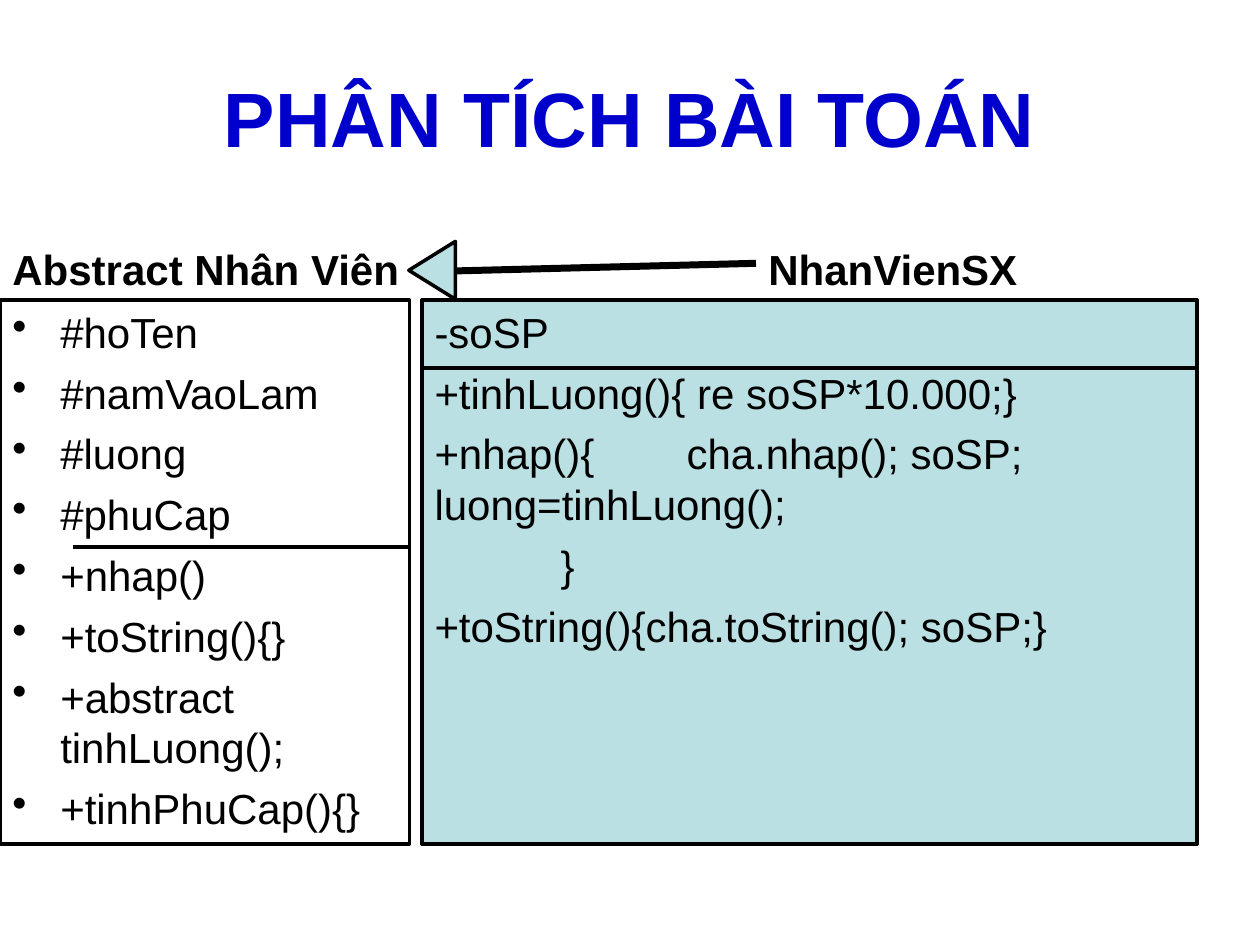
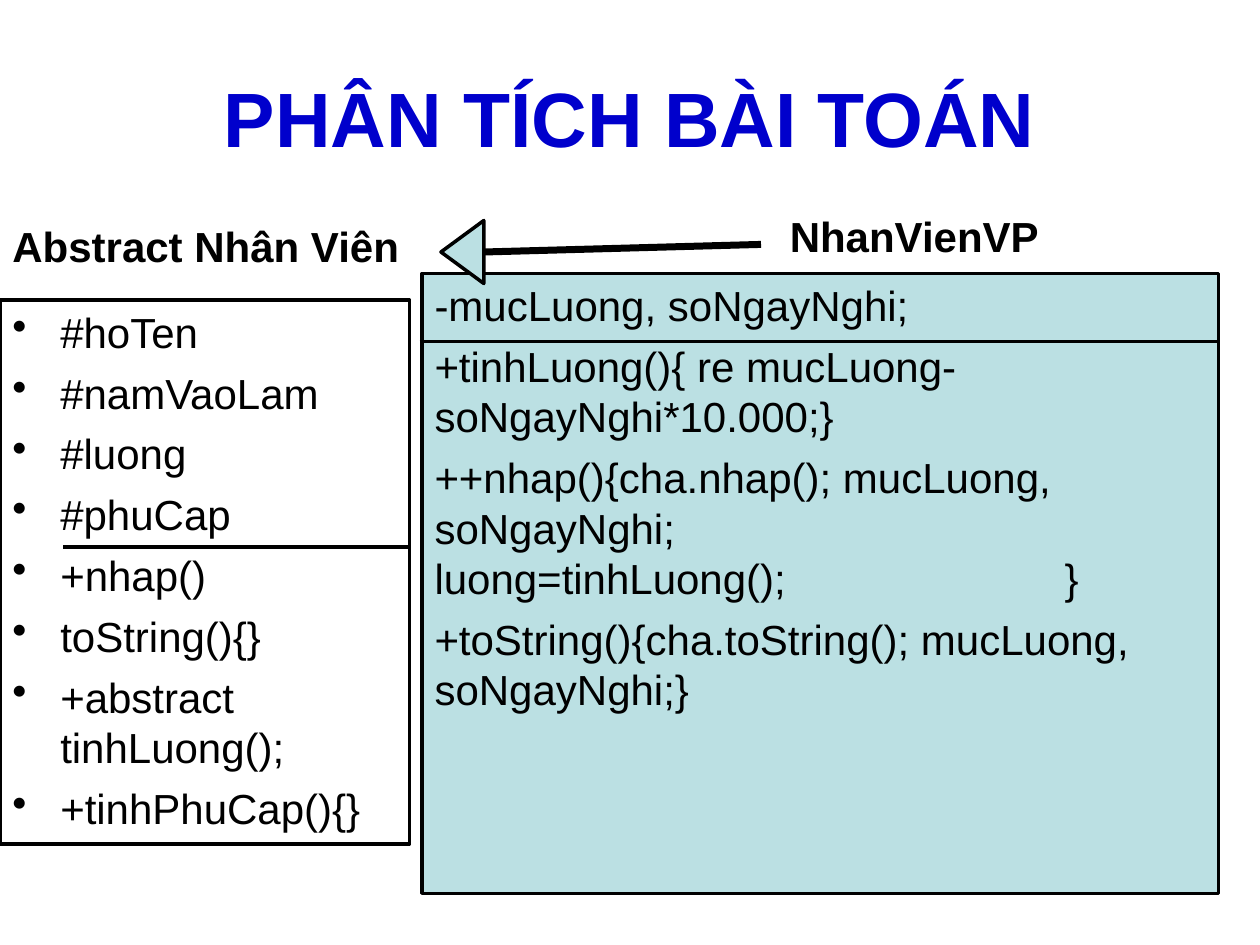
from dataclasses import dataclass

from lxml import etree
from pptx import Presentation
from pptx.dml.color import RGBColor
from pptx.enum.shapes import MSO_CONNECTOR, MSO_SHAPE
from pptx.enum.text import MSO_ANCHOR, PP_ALIGN
from pptx.oxml.ns import qn
from pptx.util import Inches, Pt

LINE = MSO_CONNECTOR.STRAIGHT
RECTANGLE, TRIANGLE = MSO_SHAPE.RECTANGLE, MSO_SHAPE.ISOSCELES_TRIANGLE
LEFT, CENTER = PP_ALIGN.LEFT, PP_ALIGN.CENTER
TOP, MIDDLE, BOTTOM = MSO_ANCHOR.TOP, MSO_ANCHOR.MIDDLE, MSO_ANCHOR.BOTTOM


@dataclass(frozen=True)
class Theme:
    font: str = "Arial"
    title_color: RGBColor = RGBColor(0x00, 0x00, 0xCC)
    ink: RGBColor = RGBColor(0x00, 0x00, 0x00)
    panel: RGBColor = RGBColor(0xBB, 0xE0, 0xE3)
    title_size: int = 44
    text_size: int = 24
    space_before: int = 6
    outline: int = 2
    arrow: int = 4
    bullet_indent: float = 0.38


THEME = Theme()

# Content: boxes are (left, top, width, height) in inches
TITLE = "PHÂN TÍCH BÀI TOÁN"
TITLE_BOX = (0.5, 0.3, 9, 1.25)
PARENT_NAME = "Abstract Nhân Viên"
PARENT_BOX = (0, 2.38, 3.25, 4.32)
PARENT_DIVIDER_Y = 4.34
CHILD_DIVIDER_LEFT = 3.33
CHILD_DIVIDER_DROP = 0.54


def parent_members(to_string):
    return ["#hoTen", "#namVaoLam", "#luong", "#phuCap", "+nhap()", to_string,
            "+abstract tinhLuong();", "+tinhPhuCap(){}"]


DIAGRAMS = [
    {
        "parent_members": parent_members("+toString(){}"),
        "parent_name_box": (0, 1.68, 4.92, 0.7),
        "parent_divider_left": 0.58,
        "child_name": "NhanVienSX",
        "child_name_box": (6, 1.68, 3.5, 0.7),
        "child_box": (3.35, 2.38, 6.15, 4.32),
        "child_members": [
            "-soSP",
            "+tinhLuong(){ re soSP*10.000;}",
            "+nhap(){\tcha.nhap(); soSP; luong=tinhLuong();",
            "\t}",
            "+toString(){cha.toString(); soSP;}",
        ],
        "arrowhead_box": (3.2, 1.96, 0.46, 0.37),
        "arrow_ends": ((3.62, 2.15), (6, 2.09)),
    },
    {
        "parent_members": parent_members("toString(){}"),
        "parent_name_box": (0, 1.5, 3.5, 0.7),
        "parent_divider_left": 0.5,
        "child_name": "NhanVienVP",
        "child_name_box": (6.17, 1.42, 3.34, 0.7),
        "child_box": (3.35, 2.17, 6.32, 4.92),
        "child_members": [
            "-mucLuong, soNgayNghi;",
            "+tinhLuong(){ re mucLuong- soNgayNghi*10.000;}",
            "++nhap(){cha.nhap(); mucLuong, soNgayNghi;\nluong=tinhLuong();\t\t\t}",
            "+toString(){cha.toString(); mucLuong, soNgayNghi;}",
        ],
        "arrowhead_box": (3.42, 1.83, 0.5, 0.34),
        "arrow_ends": ((3.84, 2), (6.04, 1.94)),
    },
]


def inches(values):
    return [Inches(value) for value in values]


# Text
def add_text(paragraph, text, size, color, bold=False):
    for number, line in enumerate(text.split("\n")):
        if number:
            paragraph.add_line_break()
        run = paragraph.add_run()
        run.text = line
        run.font.name = THEME.font
        run.font.size = Pt(size)
        run.font.bold = bold
        run.font.color.rgb = color


def add_bullet(properties):
    indent = Inches(THEME.bullet_indent)
    properties.set("marL", str(indent))
    properties.set("indent", str(-indent))
    etree.SubElement(properties, qn("a:buChar")).set("char", "•")


def add_tab_stops(properties):
    stops = etree.SubElement(properties, qn("a:tabLst"))
    for inch in range(1, 9):
        stop = etree.SubElement(stops, qn("a:tab"))
        stop.set("pos", str(Inches(inch)))
        stop.set("algn", "l")


def write_lines(frame, lines, anchor, bold=False, bulleted=False):
    frame.word_wrap = True
    frame.vertical_anchor = anchor
    for number, line in enumerate(lines):
        paragraph = frame.add_paragraph() if number else frame.paragraphs[0]
        paragraph.alignment = LEFT
        paragraph.space_before = Pt(THEME.space_before)
        properties = paragraph._p.get_or_add_pPr()
        if bulleted:
            add_bullet(properties)
        add_tab_stops(properties)
        add_text(paragraph, line, THEME.text_size, THEME.ink, bold)


# Shapes
def add_outlined(shapes, kind, box, fill=None):
    shape = shapes.add_shape(kind, *inches(box))
    shape.shadow.inherit = False
    if fill is None:
        shape.fill.background()
    else:
        shape.fill.solid()
        shape.fill.fore_color.rgb = fill
    shape.line.color.rgb = THEME.ink
    shape.line.width = Pt(THEME.outline)
    return shape


def add_line(shapes, start, end, width):
    line = shapes.add_connector(LINE, *inches(start + end))
    line.line.color.rgb = THEME.ink
    line.line.width = Pt(width)
    etree.SubElement(line._element.spPr, qn("a:effectLst"))


def add_title(slide):
    title = slide.shapes.title
    title.left, title.top, title.width, title.height = inches(TITLE_BOX)
    title.text_frame.vertical_anchor = MIDDLE
    paragraph = title.text_frame.paragraphs[0]
    paragraph.alignment = CENTER
    add_text(paragraph, TITLE, THEME.title_size, THEME.title_color, bold=True)


def add_class_name(slide, name, box):
    label = slide.shapes.add_textbox(*inches(box))
    write_lines(label.text_frame, [name], BOTTOM, bold=True)


def add_class_box(slide, box, members, divider_left, divider_y, fill=None, bulleted=False):
    class_box = add_outlined(slide.shapes, RECTANGLE, box, fill)
    write_lines(class_box.text_frame, members, TOP, bulleted=bulleted)
    right = box[0] + box[2]
    return (divider_left, divider_y), (right, divider_y), THEME.outline


def add_inheritance_arrow(slide, head_box, ends):
    arrow = slide.shapes.add_group_shape()
    head = add_outlined(arrow.shapes, TRIANGLE, head_box, THEME.panel)
    head.rotation = 270
    add_line(arrow.shapes, *ends, THEME.arrow)


def add_diagram(presentation, diagram):
    slide = presentation.slides.add_slide(presentation.slide_layouts.get_by_name("Title Only"))
    add_title(slide)

    # Parent class on the left, child class on the right
    add_class_name(slide, PARENT_NAME, diagram["parent_name_box"])
    parent_divider = add_class_box(
        slide, PARENT_BOX, diagram["parent_members"],
        diagram["parent_divider_left"], PARENT_DIVIDER_Y, bulleted=True)
    add_class_name(slide, diagram["child_name"], diagram["child_name_box"])
    child_box = diagram["child_box"]
    child_divider = add_class_box(
        slide, child_box, diagram["child_members"],
        CHILD_DIVIDER_LEFT, child_box[1] + CHILD_DIVIDER_DROP, fill=THEME.panel)

    # Arrow and dividers lie over the boxes
    add_inheritance_arrow(slide, diagram["arrowhead_box"], diagram["arrow_ends"])
    for divider in (child_divider, parent_divider):
        add_line(slide.shapes, *divider)


def main():
    presentation = Presentation()
    presentation.slide_width, presentation.slide_height = inches((10, 7.5))
    for diagram in DIAGRAMS:
        add_diagram(presentation, diagram)
    presentation.save("out.pptx")


if __name__ == "__main__":
    main()
